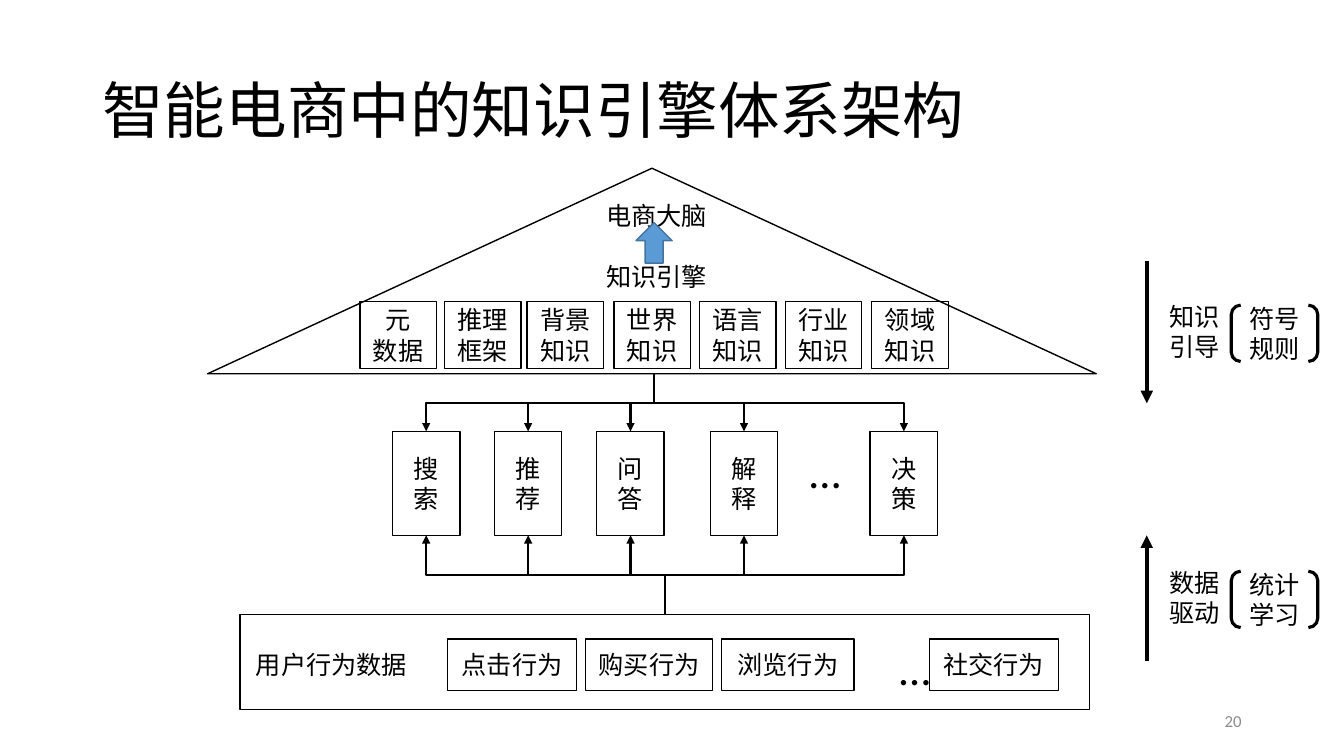
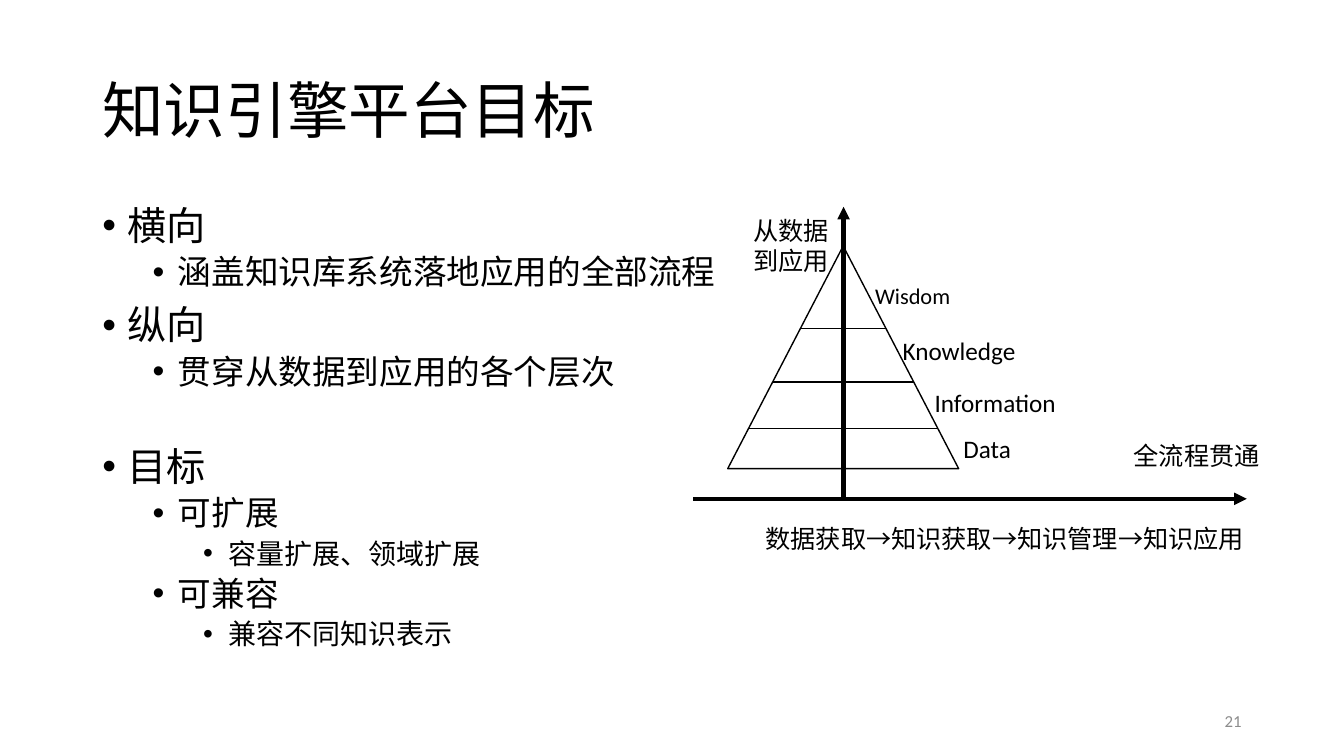
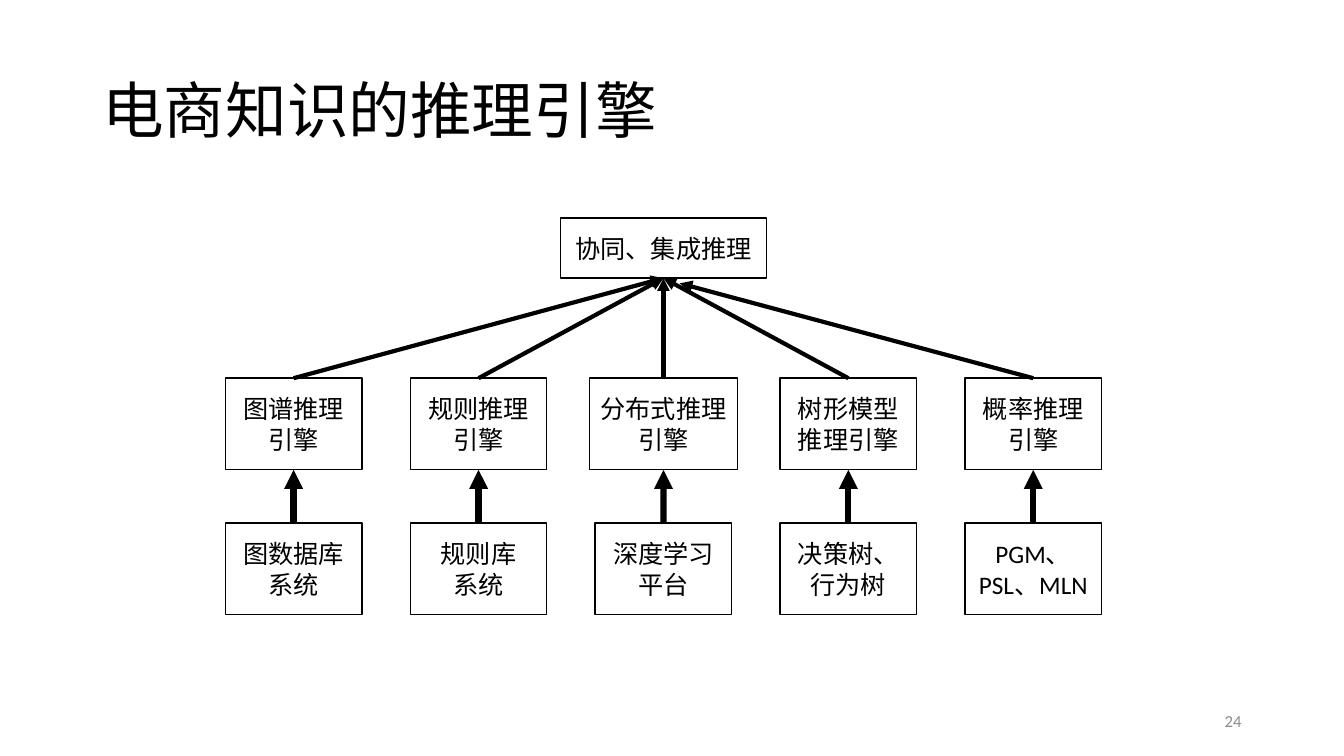
from dataclasses import dataclass

from lxml.etree import SubElement
from pptx import Presentation
from pptx.dml.color import RGBColor
from pptx.enum.shapes import MSO_CONNECTOR as CONN, MSO_SHAPE as SHAPE
from pptx.enum.text import MSO_ANCHOR as ANCHOR, PP_ALIGN as ALIGN
from pptx.oxml.ns import qn
from pptx.util import Cm, Pt


@dataclass(frozen=True)
class Theme:
    font: str = "Calibri"
    ink: str = "000000"
    muted: str = "8C8C8C"
    accent: str = "5B9BD5"
    accent_line: str = "43739E"
    title: int = 44
    ellipsis: int = 32
    levels: tuple = (28, 24, 20)
    label: int = 18
    small: int = 16
    footer: int = 12
    thin: float = 1
    elbow: float = 1.5
    bracket: float = 2.25
    arrow: float = 3
    heavy: float = 4.5


@dataclass(frozen=True)
class Box:
    x: float
    y: float
    w: float
    h: float

    def at(self, dx, dy, w, h):
        return Box(self.x + dx, self.y + dy, w, h)

    @property
    def cx(self):
        return self.x + self.w / 2

    @property
    def bottom(self):
        return self.y + self.h

    def emu(self):
        return Cm(self.x), Cm(self.y), Cm(self.w), Cm(self.h)


T = Theme()
TOP, BOTTOM = 0, 2


def rgb(color):
    return RGBColor.from_string(color)


def add_run(p, text, size, color=T.ink):
    r = p.add_run()
    r.text = text
    r.font.name = T.font
    r.font.size = Pt(size)
    r.font.color.rgb = rgb(color)


def write(tf, lines, size=T.label, align=ALIGN.CENTER, anchor=ANCHOR.MIDDLE,
          color=T.ink, before=0, spacing=None):
    tf.word_wrap = True
    tf.vertical_anchor = anchor
    for i, line in enumerate(lines.split("\n")):
        p = tf.add_paragraph() if i else tf.paragraphs[0]
        p.alignment = align
        if spacing:
            p.line_spacing = spacing
        if i and before:
            p.space_before = Pt(before)
        add_run(p, line, size, color)


def add_text(slide, box, lines, **style):
    write(slide.shapes.add_textbox(*box.emu()).text_frame, lines, **style)


def add_figure(slide, kind, box, lines="", width=T.thin, fill=None, line=T.ink):
    sp = slide.shapes.add_shape(kind, *box.emu())
    sp.shadow.inherit = False
    if fill:
        sp.fill.solid()
        sp.fill.fore_color.rgb = rgb(fill)
    else:
        sp.fill.background()
    sp.line.color.rgb = rgb(line)
    sp.line.width = Pt(width)
    if lines:
        write(sp.text_frame, lines)
    return sp


def add_line(slide, start, end, width, arrow=True, kind=CONN.STRAIGHT):
    cn = slide.shapes.add_connector(kind, *(Cm(v) for v in (*start, *end)))
    cn.line.color.rgb = rgb(T.ink)
    cn.line.width = Pt(width)
    if arrow:
        SubElement(cn.line._get_or_add_ln(), qn("a:tailEnd"), type="triangle")
    SubElement(cn._element.spPr, qn("a:effectLst"))
    return cn


def add_vertical_elbow(slide, start, end):
    (x1, y1), (x2, y2) = start, end
    cx, cy = (x1 + x2) / 2, (y1 + y2) / 2
    half_w, half_h = abs(y2 - y1) / 2, abs(x2 - x1) / 2
    if (x2 > x1) == (y2 > y1):
        half_h = -half_h
    cn = add_line(slide, (cx - half_w, cy - half_h), (cx + half_w, cy + half_h),
                  T.elbow, kind=CONN.ELBOW)
    degrees = 90 if y2 > y1 else 270
    cn._element.spPr.find(qn("a:xfrm")).set("rot", str(degrees * 60000))


def add_base(prs, title, number):
    slide = prs.slides.add_slide(prs.slide_layouts[6])
    add_text(slide, Box(2.33, 1.01, 29.21, 3.68), title, size=T.title,
             align=ALIGN.LEFT, spacing=0.9)
    add_text(slide, Box(23.92, 17.65, 7.62, 1.01), number, size=T.footer,
             align=ALIGN.RIGHT, color=T.muted)
    return slide


def add_roof(slide, box):
    roof = add_figure(slide, SHAPE.ISOSCELES_TRIANGLE, box)
    roof.adjustments[0] = 0.5
    add_text(slide, box.at(9.12, 0.69, 4.39, 2.57), "电商大脑\n知识引擎",
             anchor=ANCHOR.TOP, before=22)
    add_figure(slide, SHAPE.UP_ARROW, box.at(10.8, 1.37, 0.91, 1.02),
               fill=T.accent, line=T.accent_line)
    kinds = [(3.84, "元\n数据"), (5.97, "推理\n框架"), (8.05, "背景知识"),
             (10.24, "世界知识"), (12.4, "语言知识"), (14.56, "行业知识"),
             (16.74, "领域知识")]
    for dx, name in kinds:
        add_figure(slide, SHAPE.RECTANGLE, box.at(dx, 3.36, 1.93, 1.68), name)


def add_services(slide, box, above, below):
    services = [(0.86, "搜索"), (3.43, "推荐"), (6.01, "问答"),
                (8.87, "解释"), (12.9, "决策")]
    width = 1.7
    for center, name in services:
        cell = box.at(center - width / 2, 0, width, box.h)
        add_figure(slide, SHAPE.RECTANGLE, cell, name)
        add_vertical_elbow(slide, above, (cell.cx, cell.y))
        add_vertical_elbow(slide, below, (cell.cx, cell.bottom))
    add_text(slide, box.at(9.81, 0.15, 2.21, 1.7), "…", size=T.ellipsis)


def add_behaviours(slide, box):
    add_figure(slide, SHAPE.RECTANGLE, box)
    add_text(slide, box.at(0.15, 0.74, 4.4, 1.02), "用户行为数据",
             align=ALIGN.LEFT, anchor=ANCHOR.TOP)
    behaviours = [(5.23, 3.25, "点击行为"), (8.71, 3.2, "购买行为"),
                  (12.14, 3.33, "浏览行为"), (17.37, 3.25, "社交行为")]
    for dx, width, name in behaviours:
        add_figure(slide, SHAPE.RECTANGLE, box.at(dx, 0.61, width, 1.3), name)
    add_text(slide, box.at(15.9, 0.49, 2.21, 1.7), "…", size=T.ellipsis)


def add_force(slide, box, name, method, upward):
    ends = [(box.x, box.y), (box.x, box.bottom)]
    add_line(slide, *(reversed(ends) if upward else ends), T.arrow)
    middle = box.h / 2
    add_text(slide, box.at(0.25, middle - 0.9, 1.9, 1.8), name, anchor=ANCHOR.TOP)
    add_figure(slide, SHAPE.DOUBLE_BRACKET, box.at(2.13, middle - 0.68, 2.18, 1.42),
               method, width=T.bracket)


def add_outline(slide, box, items):
    tf = slide.shapes.add_textbox(*box.emu()).text_frame
    tf.word_wrap = True
    for i, (level, text, before) in enumerate(items):
        p = tf.add_paragraph() if i else tf.paragraphs[0]
        pPr = p._p.get_or_add_pPr()
        pPr.set("marL", str(Pt(18 + 36 * level)))
        pPr.set("indent", str(Pt(-18)))
        SubElement(pPr, qn("a:buFont"), typeface="Arial")
        SubElement(pPr, qn("a:buChar"), char="•")
        p.level = level
        p.line_spacing = 0.9
        if i:
            p.space_before = Pt(before)
        add_run(p, text, T.levels[level])


def add_axes(slide, box):
    add_line(slide, (box.x, box.bottom), (box.x + box.w, box.bottom), T.arrow)
    add_line(slide, (box.x + 3.79, box.bottom + 0.05), (box.x + 3.79, box.y), T.arrow)
    notes = [(1.27, 0.08, 2.67, 1.8, "从数据\n到应用"),
             (10.85, 5.76, 4.29, 1.02, "全流程贯通"),
             (1.57, 7.85, 12.93, 1.02, "数据获取→知识获取→知识管理→知识应用")]
    for dx, dy, w, h, text in notes:
        add_text(slide, box.at(dx, dy, w, h), text,
                 align=ALIGN.LEFT, anchor=ANCHOR.TOP)


def add_pyramid(slide, box):
    add_figure(slide, SHAPE.ISOSCELES_TRIANGLE, box)
    for dy in (2.08, 3.43, 4.6):
        half = box.w / 2 * dy / box.h
        y = box.y + dy
        add_line(slide, (box.cx - half, y), (box.cx + half, y), T.thin, arrow=False)
    layers = [(4.66, 0.79, "Wisdom", T.small), (5.83, 2.13, "Knowledge", T.label),
              (6.74, 3.43, "Information", T.label), (6.54, 4.6, "Data", T.label)]
    width = 3.78
    for center, dy, name, size in layers:
        add_text(slide, box.at(center - width / 2, dy, width, 1.02), name,
                 size=size, anchor=ANCHOR.TOP)


def add_reasoning_tree(slide, box):
    width, height, root_w = 3.44, 2.31, 5.2
    root_box = box.at((box.w - root_w) / 2, 0, root_w, 1.52)
    root = add_figure(slide, SHAPE.RECTANGLE, root_box, "协同、集成推理")
    engines = [("图谱推理引擎", "图数据库系统"), ("规则推理引擎", "规则库\n系统"),
               ("分布式推理引擎", "深度学习\n平台"), ("树形模型推理引擎", "决策树、行为树"),
               ("概率推理引擎", "PGM、PSL、MLN")]
    last = len(engines) - 1
    pitch = (box.w - width) / last
    for i, (engine, base) in enumerate(engines):
        center = width / 2 + i * pitch
        engine_w = 3.72 if engine == "分布式推理引擎" else width
        upper = box.at(center - engine_w / 2, 4.04, engine_w, height)
        lower = box.at(center - width / 2, box.h - height, width, height)
        engine_sp = add_figure(slide, SHAPE.RECTANGLE, upper, engine)
        base_sp = add_figure(slide, SHAPE.RECTANGLE, lower, base)
        support = add_line(slide, (lower.cx, lower.y), (upper.cx, upper.bottom), T.heavy)
        support.begin_connect(base_sp, TOP)
        support.end_connect(engine_sp, BOTTOM)
        target = (root_box.cx, root_box.bottom)
        if i == last:
            target = (root_box.cx + 0.41, root_box.bottom + 0.13)
        merge = add_line(slide, (upper.cx, upper.y), target, T.arrow)
        merge.begin_connect(engine_sp, TOP)
        if i < last:
            merge.end_connect(root, BOTTOM)


def build_architecture(prs):
    slide = add_base(prs, "智能电商中的知识引擎体系架构", "20")
    roof = Box(5.23, 4.24, 22.4, 5.18)
    behaviours = Box(6.05, 15.49, 21.41, 2.39)
    add_roof(slide, roof)
    add_behaviours(slide, behaviours)
    add_services(slide, Box(9.88, 10.87, 13.74, 2.62),
                 (16.48, roof.bottom), (behaviours.cx, behaviours.y))
    add_force(slide, Box(28.9, 6.58, 4.3, 3.58), "知识引导", "符号规则", False)
    add_force(slide, Box(28.9, 13.49, 4.3, 3.17), "数据驱动", "统计学习", True)


def build_goals(prs):
    slide = add_base(prs, "知识引擎平台目标", "21")
    add_outline(slide, Box(2.33, 5.07, 29.21, 12.09), [
        (0, "横向", 0),
        (1, "涵盖知识库系统落地应用的全部流程", 5),
        (0, "纵向", 10),
        (1, "贯穿从数据到应用的各个层次", 5),
        (0, "目标", 40),
        (1, "可扩展", 5),
        (2, "容量扩展、领域扩展", 5),
        (1, "可兼容", 5),
        (2, "兼容不同知识表示", 5),
    ])
    add_axes(slide, Box(17.47, 5.21, 13.95, 7.36))
    add_pyramid(slide, Box(18.34, 6.2, 5.82, 5.61))


def build_reasoning(prs):
    slide = add_base(prs, "电商知识的推理引擎", "24")
    add_reasoning_tree(slide, Box(5.68, 5.49, 22.08, 10))


def main():
    prs = Presentation()
    prs.slide_width, prs.slide_height = Cm(33.87), Cm(19.05)
    build_architecture(prs)
    build_goals(prs)
    build_reasoning(prs)
    prs.save("out.pptx")


if __name__ == "__main__":
    main()
